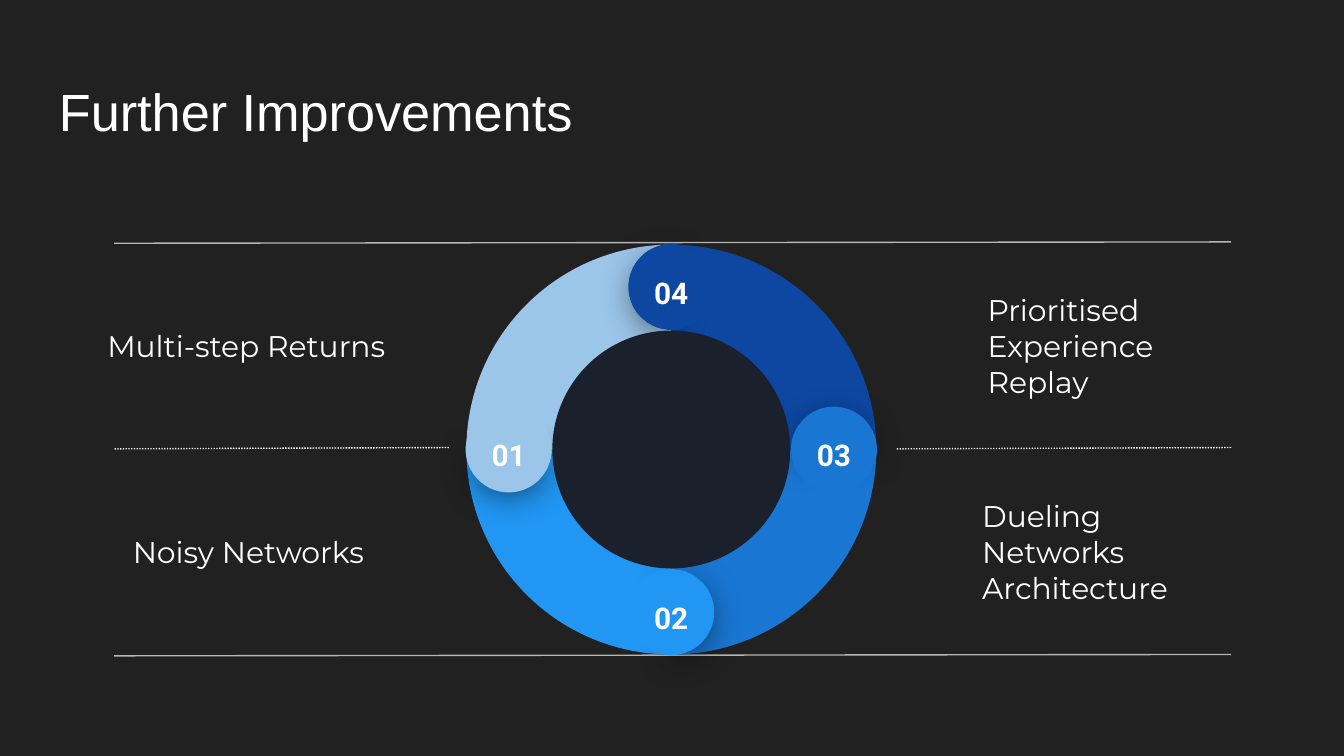
from dataclasses import dataclass
from math import cos, radians, sin

from lxml.etree import SubElement
from pptx import Presentation
from pptx.dml.color import RGBColor
from pptx.enum.dml import MSO_LINE_DASH_STYLE as Dash
from pptx.enum.shapes import MSO_CONNECTOR as Connector, MSO_SHAPE as Preset
from pptx.enum.text import MSO_ANCHOR as Anchor, PP_ALIGN as Align
from pptx.oxml.ns import qn
from pptx.util import Inches, Pt

COLUMNS, ROWS = 100, 56.25
WIDTH, HEIGHT = Inches(10), Inches(5.625)
COLORS = {
    "background": "212121", "white": "FFFFFF", "rule": "B7B7B7",
    "hub": "1B212C", "pale": "9BC5E9", "bright": "2196F3",
    "medium": "1976D2", "deep": "0D47A1", "shadow": "000000",
}
CENTER = (49.95, 33.45)
RING, HUB, CAP, CAP_SHADOW = 30.5, 17.7, 6.4, 5.7
ORBIT = 12.1


@dataclass
class Label:
    text: str
    area: tuple[float, float, float, float]
    size: int = 16
    font: str = "Montserrat"
    bold: bool = False
    align: Align = Align.LEFT
    anchor: Anchor = Anchor.MIDDLE


@dataclass
class Rule:
    left: float
    right: float
    row: float
    color: str = "rule"
    dash: Dash | None = None


@dataclass
class Step:
    number: str
    color: str
    turn: int


LABELS = [
    Label("Further Improvements", (3.4, 4.9, 93.2, 6.3), 28, "Arial", anchor=Anchor.TOP),
    Label("Multi-step Returns", (7, 23.3, 24, 4.9)),
    Label("Noisy Networks", (8.9, 38.6, 20.3, 4.9)),
    Label("Prioritised Experience Replay", (72.5, 20.9, 19.3, 9.6)),
    Label("Dueling Networks Architecture", (72.1, 38.6, 20.3, 4.9)),
]
RULES = [
    Rule(8.5, 91.6, 18),
    Rule(8.5, 33.4, 33.3, "white", Dash.ROUND_DOT),
    Rule(66.7, 91.6, 33.3, "white", Dash.ROUND_DOT),
    Rule(8.5, 91.6, 48.7),
]
STEPS = [
    Step(f"{index + 1:02}", color, -90 * index)
    for index, color in enumerate(("pale", "bright", "medium", "deep"))
]


def across(columns: float) -> int:
    return round(WIDTH * columns / COLUMNS)


def down(rows: float) -> int:
    return round(HEIGHT * rows / ROWS)


def rgb(name: str) -> RGBColor:
    return RGBColor.from_string(COLORS[name])


def add_label(page, label: Label) -> None:
    left, top, width, height = label.area
    box = page.shapes.add_textbox(across(left), down(top), across(width), down(height))
    frame = box.text_frame
    frame.word_wrap = True
    frame.vertical_anchor = label.anchor
    frame.margin_left = frame.margin_right = Inches(0.1)
    frame.margin_top = frame.margin_bottom = Inches(0.1)
    para = frame.paragraphs[0]
    para.text = label.text
    para.alignment = label.align
    para.font.name = label.font
    para.font.size = Pt(label.size)
    para.font.bold = label.bold
    para.font.color.rgb = rgb("white")


def add_rule(page, rule: Rule) -> None:
    line = page.shapes.add_connector(
        Connector.STRAIGHT, across(rule.right), down(rule.row),
        across(rule.left), down(rule.row + 0.1))
    line.line.color.rgb = rgb(rule.color)
    line.line.width = Pt(0.75)
    if rule.dash:
        line.line.dash_style = rule.dash
    SubElement(line._element.spPr, qn("a:effectLst"))


def add_disc(shapes, preset: Preset, center: tuple[float, float], size: float,
             color: str, turn: float = 0, angles: tuple[float, ...] = ()):
    column, row = center
    disc = shapes.add_shape(preset, across(column - size / 2), down(row - size / 2),
                            across(size), down(size))
    for index, angle in enumerate(angles):
        disc.adjustments[index] = angle * 0.6
    disc.rotation = turn % 360
    disc.shadow.inherit = False
    disc.fill.solid()
    disc.fill.fore_color.rgb = rgb(color)
    disc.line.fill.background()
    return disc


def add_shadow(disc) -> None:
    effects = disc._element.spPr.find(qn("a:effectLst"))
    shadow = SubElement(effects, qn("a:outerShdw"), blurRad=str(Pt(18)),
                        dist=str(Pt(4)), dir="5400000", algn="bl", rotWithShape="0")
    color = SubElement(shadow, qn("a:srgbClr"), val=COLORS["shadow"])
    SubElement(color, qn("a:alpha"), val="55000")


def add_cap(page, step: Step) -> None:
    angle = radians(180 + step.turn)
    column = CENTER[0] + ORBIT * cos(angle)
    row = CENTER[1] + ORBIT * sin(angle)
    group = page.shapes.add_group_shape()
    add_shadow(add_disc(group.shapes, Preset.PIE, (column, row), CAP_SHADOW,
                        step.color, step.turn + 39.5, (315.9, 139.7)))
    add_disc(group.shapes, Preset.CHORD, (column, row), CAP,
             step.color, step.turn + 4.1, (41.7, 30.2))
    add_label(page, Label(step.number, (column - 2.8, row - 1.95, 5.6, 2.9),
                          font="Roboto", bold=True, align=Align.CENTER,
                          anchor=Anchor.TOP))


def main() -> None:
    deck = Presentation()
    deck.slide_width, deck.slide_height = WIDTH, HEIGHT
    page = deck.slides.add_slide(deck.slide_layouts[6])
    page.background.fill.solid()
    page.background.fill.fore_color.rgb = rgb("background")
    for label in LABELS:
        add_label(page, label)
    for rule in RULES:
        add_rule(page, rule)
    for step in STEPS:
        add_disc(page.shapes, Preset.PIE, CENTER, RING, step.color, step.turn, (180, 270))
    for step in STEPS:
        add_cap(page, step)
    add_disc(page.shapes, Preset.OVAL, CENTER, HUB, "hub")
    deck.save("out.pptx")


if __name__ == "__main__":
    main()
